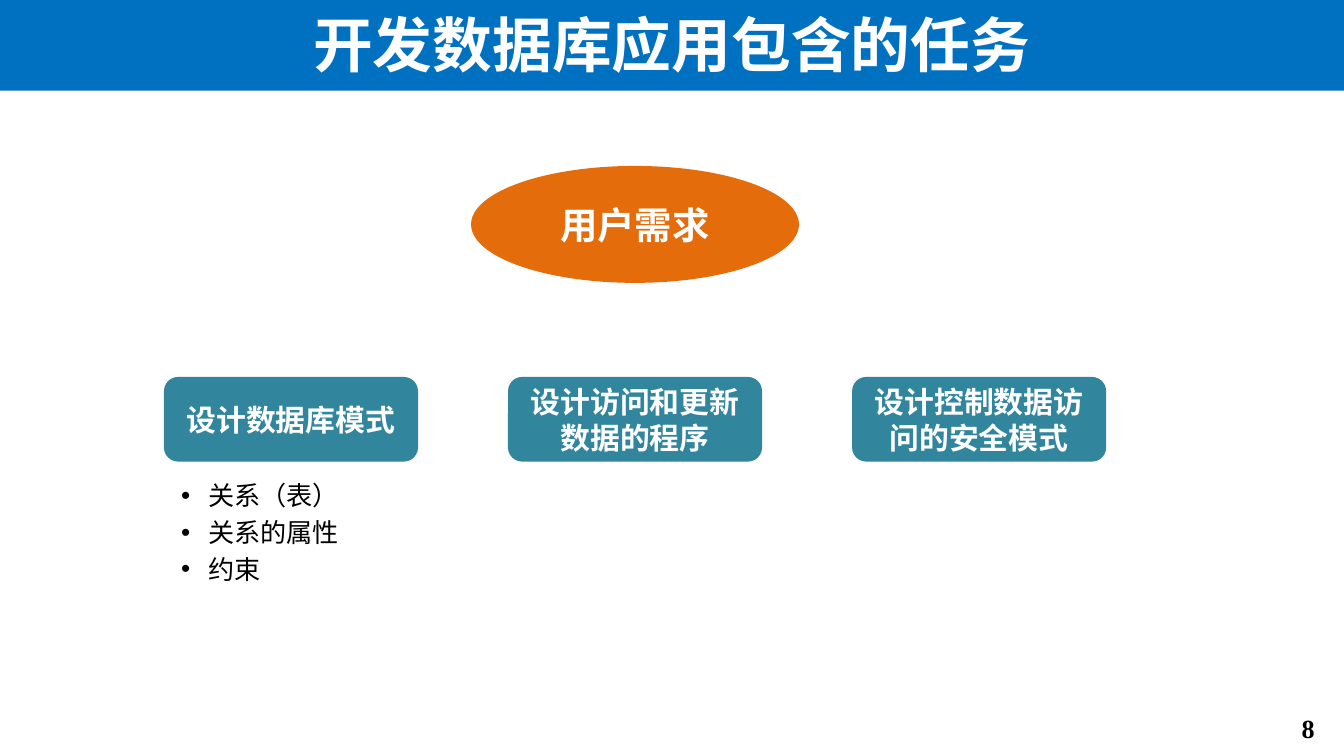
"""Build the slide on the tasks in developing a database application."""
from lxml.etree import SubElement
from pptx import Presentation
from pptx.dml.color import RGBColor
from pptx.enum.shapes import MSO_SHAPE
from pptx.enum.text import MSO_ANCHOR, PP_ALIGN
from pptx.oxml.ns import qn
from pptx.util import Pt

PX = 4572
WHITE = RGBColor(0xFF, 0xFF, 0xFF)
BLACK = RGBColor(0, 0, 0)
BLUE = RGBColor(0x00, 0x70, 0xC0)
ORANGE = RGBColor(0xE4, 0x6C, 0x0A)
TEAL = RGBColor(0x31, 0x85, 0x9C)
CJK = "Noto Sans CJK SC"


def style(paragraph, size, color, bold, align, font=CJK, gap=0.2):
    paragraph.alignment = align
    paragraph.space_before = Pt(round(size * gap, 1))
    for run in paragraph.runs:
        run.font.size = Pt(size)
        run.font.bold = bold
        run.font.color.rgb = color
        run.font.name = font
        SubElement(run.font._element, qn("a:ea"), typeface=CJK)


def add_block(kind, box, fill, text, size, font=CJK, gap=0.2):
    block = slide.shapes.add_shape(kind, *[n * PX for n in box])
    block.shadow.inherit = False
    block.fill.solid()
    block.fill.fore_color.rgb = fill
    block.line.fill.background()
    frame = block.text_frame
    frame.text = text
    frame.word_wrap = True
    frame.vertical_anchor = MSO_ANCHOR.MIDDLE
    style(frame.paragraphs[0], size, WHITE, True, PP_ALIGN.CENTER, font, gap)


prs = Presentation()
prs.slide_width = 2000 * PX
prs.slide_height = 1125 * PX
slide = prs.slides.add_slide(prs.slide_layouts[6])

page_number = slide.shapes.add_textbox(1850 * PX, 1051 * PX, 126 * PX, 68 * PX)
page_number.text_frame.word_wrap = True
page_number.text_frame.text = "8"
style(page_number.text_frame.paragraphs[0], 14, BLACK, True, PP_ALIGN.RIGHT,
      "Times New Roman")

add_block(MSO_SHAPE.RECTANGLE, (0, -5, 2000, 140), BLUE,
          "开发数据库应用包含的任务", 32, "Arial", 0)
add_block(MSO_SHAPE.OVAL, (701, 247, 488, 174), ORANGE, "用户需求", 20)

tasks = ["设计数据库模式", "设计访问和更新数据的程序", "设计控制数据访问的安全模式"]
for column, task in enumerate(tasks):
    add_block(MSO_SHAPE.ROUNDED_RECTANGLE, (244 + 512 * column, 561, 378, 126),
              TEAL, task, 16)

schema_parts = slide.shapes.add_textbox(228 * PX, 704 * PX, 300 * PX, 180 * PX)
schema_parts.text_frame.word_wrap = True
schema_parts.text_frame.text = "关系（表）\n关系的属性\n约束"
for part in schema_parts.text_frame.paragraphs:
    style(part, 14, BLACK, False, PP_ALIGN.LEFT)
    properties = part._p.get_or_add_pPr()
    properties.set("marL", str(62 * PX))
    properties.set("indent", str(-40 * PX))
    SubElement(properties, qn("a:buFont"), typeface="Arial")
    SubElement(properties, qn("a:buChar"), char="•")

prs.save("out.pptx")
